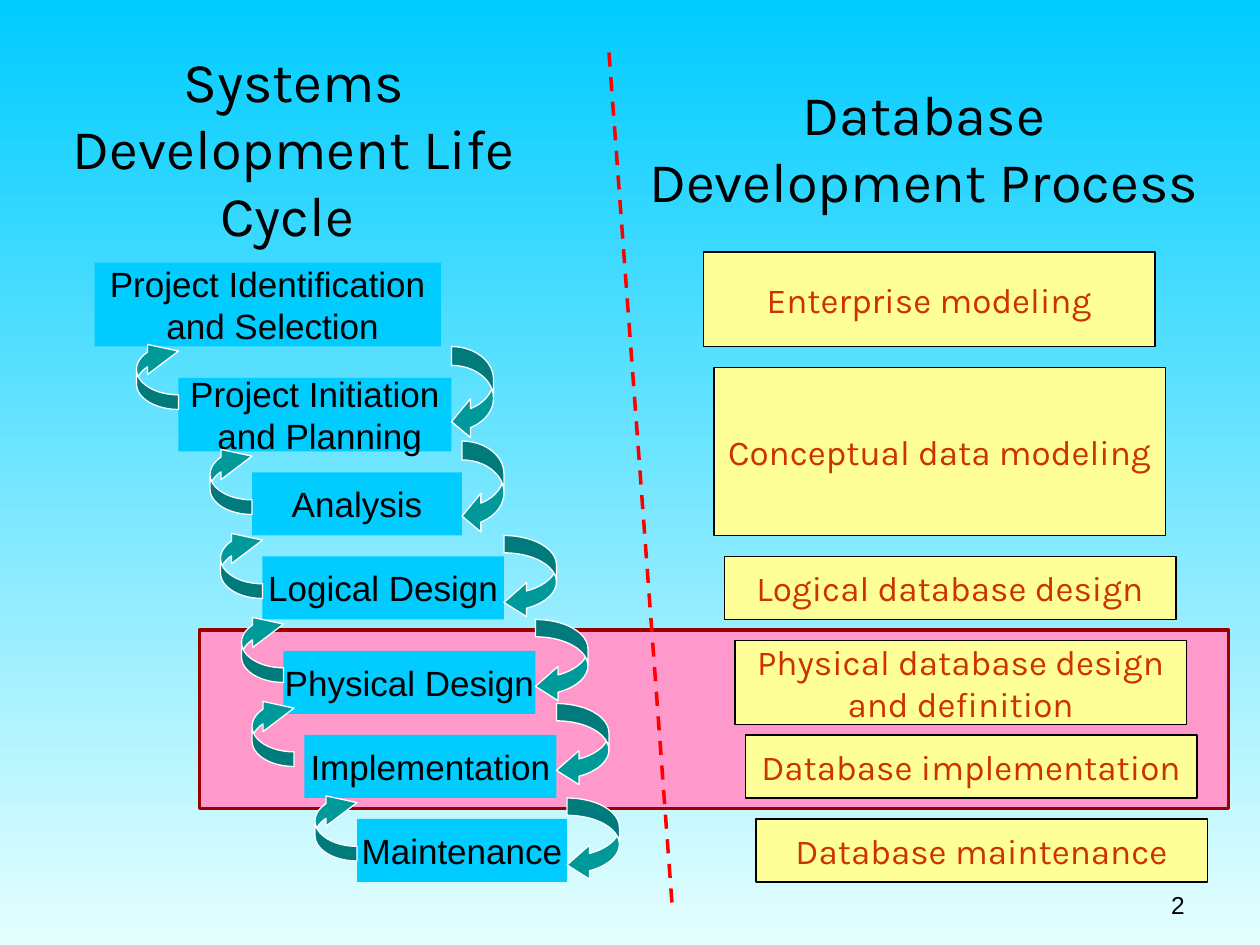
from pptx import Presentation
from pptx.dml.color import RGBColor
from pptx.enum import dml, shapes, text
from pptx.oxml.ns import qn
from pptx.util import Cm, Pt

TITLES = [
    (0, "Systems Development Life Cycle "),
    (60, "Database Development Process "),
]
STEPS = [
    ("Project Identification\n and Selection", 9, 25, 33, 8),
    ("Project Initiation\n and Planning", 17, 36, 26, 7),
    ("Analysis", 24, 45, 20, 6),
    ("Logical Design", 25, 53, 23, 6),
    ("Physical Design", 27, 62, 24, 6),
    ("Implementation", 29, 70, 24, 6),
    ("Maintenance", 34, 78, 20, 6),
]
DOWN = [(33, 4, 9), (42, 4, 9), (51, 5, 8), (59, 5, 8), (67, 5, 8), (76, 5, 8)]
BACK = [(13, 32), (20, 42), (21, 50), (23, 58), (24, 66), (30, 75)]
TASKS = [
    ("Enterprise modeling", 24, 9),
    ("Conceptual data modeling", 35, 16),
    ("Logical database design", 53, 6),
    ("Physical database design and definition", 61, 8),
    ("Database implementation", 70, 6),
    ("Database maintenance", 78, 6),
]
BENDS = {4: (0.45, 0.92, 0.45), 5: (0.33, 0.65, 0.43)}
TURN = (0.35, 0.72, 0.74)

KIND = shapes.MSO_SHAPE
MID = text.MSO_ANCHOR.MIDDLE


def unit(n):
    return Cm(n * 2.54 / 12)


def hue(code):
    return RGBColor.from_string(code)


def add(kind, box, fill, line=None, width=0.75):
    shape = slide.shapes.add_shape(kind, *map(unit, box))
    shape.shadow.inherit = False
    shape.fill.solid()
    shape.fill.fore_color.rgb = hue(fill)
    if line:
        shape.line.color.rgb = hue(line)
        shape.line.width = Pt(width)
    else:
        shape.line.fill.background()
    return shape


def write(shape, words, size, font, color, wrap=True, anchor=MID,
          align=text.PP_ALIGN.CENTER):
    frame = shape.text_frame
    frame.word_wrap = wrap
    frame.vertical_anchor = anchor
    frame.text = words
    for para in frame.paragraphs:
        para.alignment = align
        para.font.size = Pt(size)
        para.font.name = font
        para.font.color.rgb = hue(color)


def label(box, *args, **more):
    write(slide.shapes.add_textbox(*map(unit, box)), *args, **more)


def arrow(box, bends, angle=0):
    shape = add(KIND.CURVED_LEFT_ARROW, box, "009999", "FFFFFF")
    shape.rotation = angle
    for i, bend in enumerate(bends):
        shape.adjustments[i] = bend


deck = Presentation()
deck.slide_width, deck.slide_height = unit(120), unit(90)
slide = deck.slides.add_slide(deck.slide_layouts[6])

back = slide.background.fill
back.gradient()
back.gradient_angle = 270
for stop, code, pos in zip(back.gradient_stops, ("00CCFF", "E5FFFF"), (0, 1)):
    stop.color.rgb = hue(code)
    stop.position = pos

add(KIND.RECTANGLE, (19, 60, 98, 17), "FF99CC", "990000", 2)

for words, *box in STEPS:
    step = add(KIND.RECTANGLE, box, "00CCFF")
    write(step, words, 20, "Arial", "000000", wrap=False)

for (_, x, _, w, _), (top, wide, high) in zip(STEPS[1:], DOWN):
    arrow((x + w, top, wide, high), BENDS[wide])
for x, y in BACK:
    arrow((x, y, 4, 7), TURN, 180)

for i, (words, y, high) in enumerate(TASKS):
    task = add(KIND.RECTANGLE, (67 + i, y, 43, high), "FFFF99", "000000")
    write(task, words, 20, "Karla", "CC3300")

rule = slide.shapes.add_connector(
    shapes.MSO_CONNECTOR.STRAIGHT, *map(unit, (58, 5, 64, 86)))
rule.line.color.rgb = hue("FF0000")
rule.line.width = Pt(2)
rule.line.dash_style = dml.MSO_LINE.DASH
rule._element.spPr.append(rule._element.makeelement(qn("a:effectLst"), {}))

for x, words in TITLES:
    label((x, 8, 56, 12), words, 32, "Karla", "000000")
label((86, 82, 28, 6.2), "2", 14, "Arial", "000000",
      anchor=text.MSO_ANCHOR.BOTTOM, align=text.PP_ALIGN.RIGHT)

deck.save("out.pptx")
